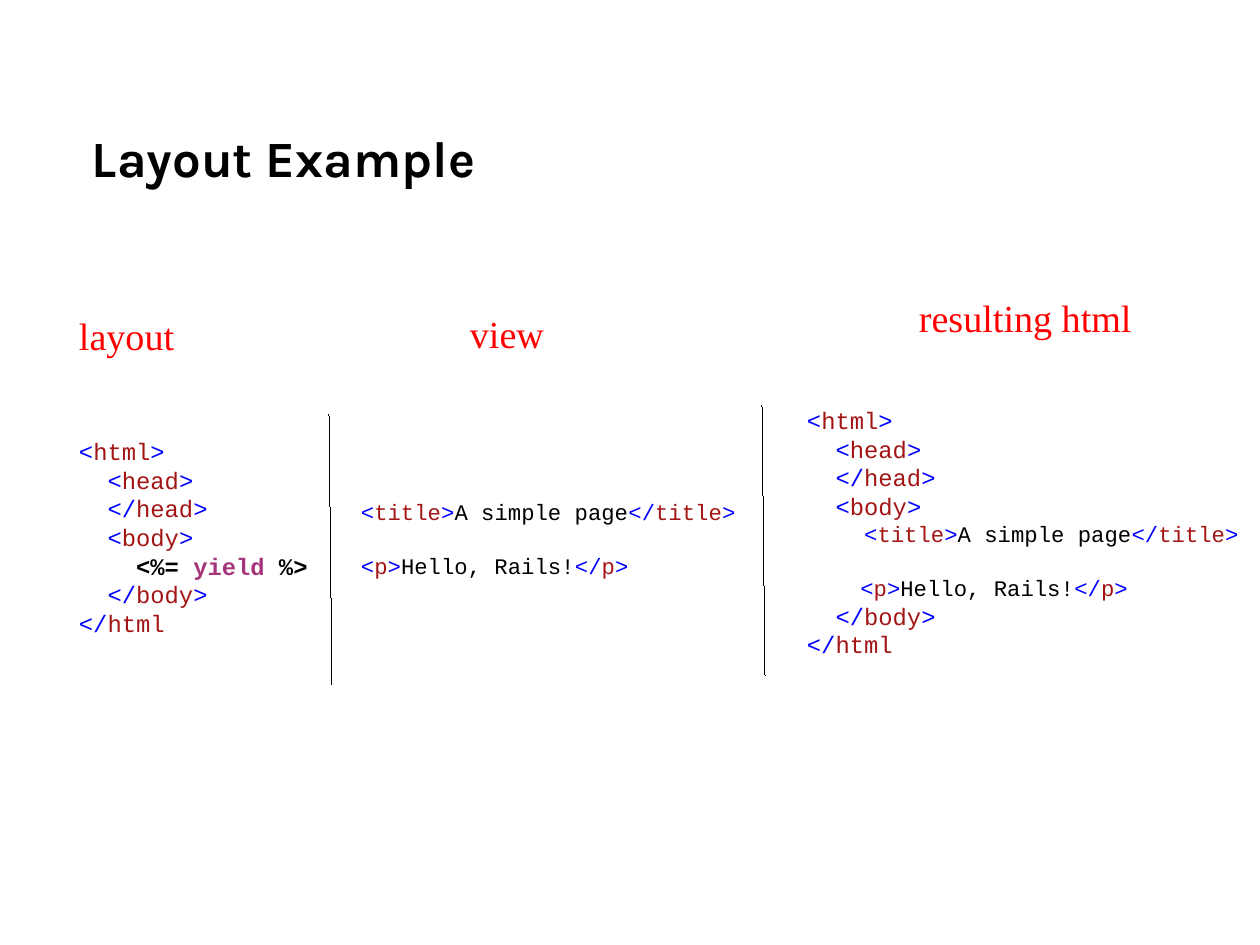
import pptx
import pptx.util
import pptx.dml.color
import pptx.enum.shapes
import pptx.enum.text
from lxml import etree

PX = 8000
BLUE, MAROON, BLACK, RED, PLUM = "0000FF", "A31515", "000000", "FF0000", "A4357A"
CODE, SERIF, SANS = "Courier New", "Times New Roman", "Karla"
STEP = 18  # points for two code characters
HAIR = 0.01  # points, drawn as the thinnest line


def px(count):
    return pptx.util.Emu(count * PX)


def color(code):
    return pptx.dml.color.RGBColor.from_string(code)


def add_run(para, text, font, size, code, bold=False):
    run = para.add_run()
    run.text = text
    run.font.name = font
    run.font.size = pptx.util.Pt(size)
    run.font.bold = bold
    run.font.color.rgb = color(code)


def add_box(slide, left, top, width, height, wrap=True):
    """Add a text box without margins and return its frame."""
    box = slide.shapes.add_textbox(px(left), px(top), px(width), px(height))
    frame = box.text_frame
    frame.margin_left = frame.margin_right = 0
    frame.margin_top = frame.margin_bottom = 0
    frame.word_wrap = wrap
    return frame


def add_label(slide, text, left, top, width):
    frame = add_box(slide, left, top, width, 46, wrap=False)
    frame.auto_size = pptx.enum.text.MSO_AUTO_SIZE.SHAPE_TO_FIT_TEXT
    para = frame.paragraphs[0]
    para.alignment = pptx.enum.text.PP_ALIGN.LEFT
    add_run(para, text, SERIF, 24, RED)


def add_rule(slide, left, top, right, base):
    line = slide.shapes.add_connector(
        pptx.enum.shapes.MSO_CONNECTOR.STRAIGHT,
        px(left), px(top), px(right), px(base))
    line.line.color.rgb = color(BLACK)
    line.line.width = pptx.util.Pt(HAIR)
    etree.SubElement(line._element.spPr, pptx.oxml.ns.qn("a:effectLst"))


def start(name):
    return [("<", BLUE), (name, MAROON), (">", BLUE)]


def end(name):
    return [("</", BLUE), (name, MAROON), (">", BLUE)]


def item(name, text):
    return start(name) + [(text, BLACK)] + end(name)


def row(runs, indent=0, size=15, gap=0, bold=False):
    return runs, indent, size, gap, bold


def add_code(slide, rows, left, top, width, height):
    """Add code rows; indents and gaps are in points."""
    frame = add_box(slide, left, top, width, height)
    for i, (runs, indent, size, gap, bold) in enumerate(rows):
        para = frame.add_paragraph() if i else frame.paragraphs[0]
        para.line_spacing = pptx.util.Pt(size + 3)
        para.space_before = pptx.util.Pt(gap)
        props = para._p.get_or_add_pPr()
        props.set("marL", str(pptx.util.Pt(indent)))
        props.set("indent", "0")
        for text, code in runs:
            add_run(para, text, CODE, size, code, bold)


def page(body):
    """Wrap body rows in the html skeleton."""
    head = [row(start("html"))]
    head += [row(tag, STEP) for tag in (start("head"), end("head"), start("body"))]
    return head + body + [row(end("body"), STEP), row(end("html")[:2])]


def view(title_dent=0, text_dent=0):
    return [
        row(item("title", "A simple page"), title_dent, 14),
        row(item("p", "Hello, Rails!"), text_dent, 14, gap=17),
    ]


def main():
    deck = pptx.Presentation()
    deck.slide_width, deck.slide_height = px(1260), px(945)
    slide = deck.slides.add_slide(deck.slide_layouts[6])

    title = add_box(slide, 92, 78, 1076, 158)
    title.vertical_anchor = pptx.enum.text.MSO_ANCHOR.MIDDLE
    add_run(title.paragraphs[0], "Layout Example", SANS, 32, BLACK, True)

    slot = [("<%= ", BLACK), ("yield ", PLUM), ("%>", BLACK)]
    add_code(slide, page([row(slot, 2 * STEP, bold=True)]), 79, 437, 252, 193)
    add_code(slide, view(), 361, 498, 486, 119)
    add_code(slide, page(view(2 * STEP, 33.6)), 807, 406, 525, 246)

    add_rule(slide, 329, 415, 332, 685)
    add_rule(slide, 762, 405, 765, 675)

    add_label(slide, "layout", 79, 312, 100)
    add_label(slide, "view", 470, 310, 80)
    add_label(slide, "resulting html", 919, 294, 218)

    deck.save("out.pptx")


if __name__ == "__main__":
    main()
